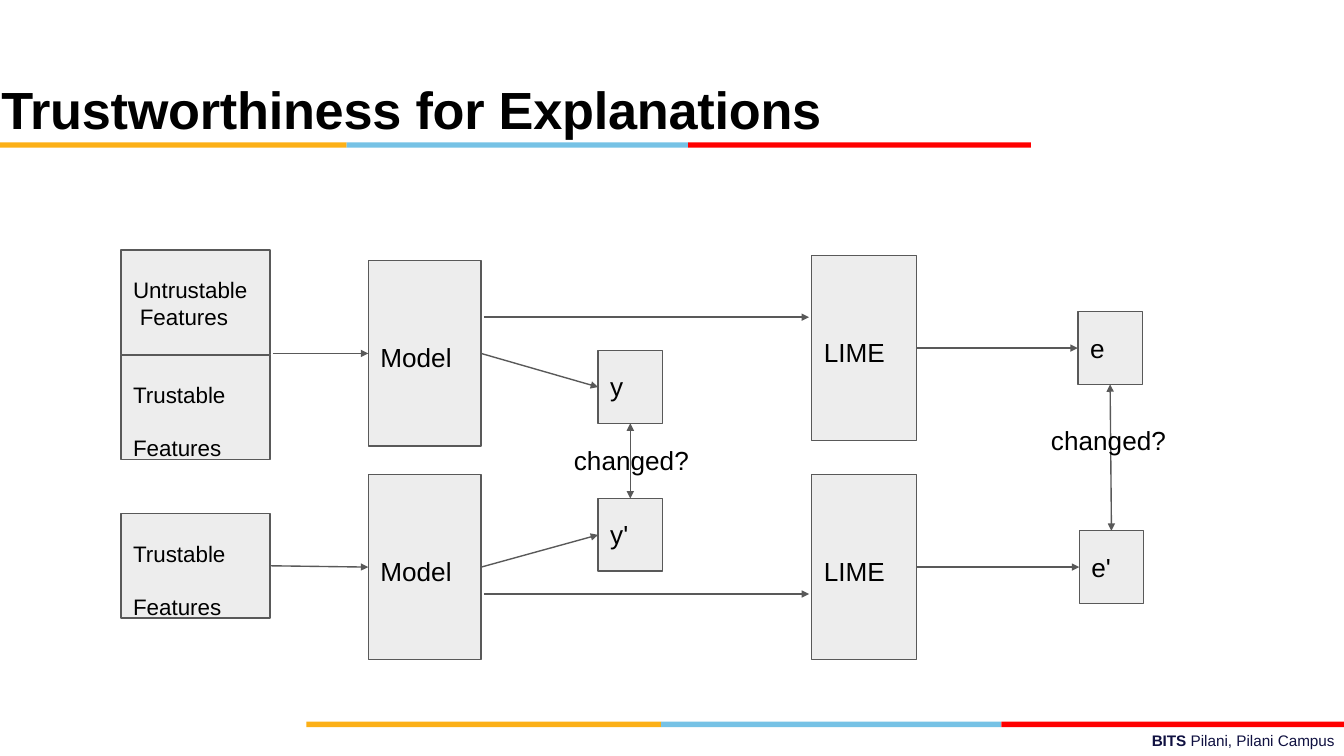
from pptx import Presentation
from pptx.dml.color import RGBColor as RGB
from pptx.enum.shapes import MSO_CONNECTOR as CONN, MSO_SHAPE as SHAPE
from pptx.enum.text import MSO_ANCHOR as ANCHOR, PP_ALIGN as ALIGN
from pptx.oxml.ns import qn
from pptx.util import Inches, Pt
from lxml import etree

BLACK = RGB(0, 0, 0)
NAVY = RGB(0x10, 0x11, 0x41)
GRAY = RGB(0x59, 0x59, 0x59)
PALE = RGB(0xED, 0xED, 0xED)
GOLD = RGB(0xFC, 0xB0, 0x17)
BLUE = RGB(0x76, 0xC2, 0xE5)
RED = RGB(0xFF, 0, 0)
TOP, LEFT, BOTTOM, RIGHT = range(4)


def write(shape, *lines, size=14, color=BLACK, bold=False, lead="", pad=(0.09, 0, 0, 0),
          align=ALIGN.LEFT, anchor=ANCHOR.TOP, pitch=None, gap=0, shift=0, track=0):
    """Fill a shape with paragraphs; lead is a bold start, shift indents later lines."""
    frame = shape.text_frame
    frame.word_wrap = True
    frame.vertical_anchor = anchor
    (frame.margin_left, frame.margin_top,
     frame.margin_right, frame.margin_bottom) = map(Inches, pad)
    for i, line in enumerate(lines):
        para = frame.add_paragraph() if i else frame.paragraphs[0]
        para.alignment = align
        if pitch:
            para.line_spacing = Pt(pitch)
        if i:
            para.space_before = Pt(gap)
            para._p.get_or_add_pPr().set("marL", str(Inches(shift)))
        for part, heavy in ((lead, True), (line, bold)):
            if part:
                run = para.add_run()
                run.text = part
                font = run.font
                font.name, font.size, font.bold = "Arial", Pt(size), heavy
                font.color.rgb = color
                if track:
                    run._r.get_or_add_rPr().set("spc", str(track))


def label(slide, x, y, w, h, *lines, **style):
    box = slide.shapes.add_textbox(*map(Inches, (x, y, w, h)))
    write(box, *lines, **style)


def rect(slide, x, y, w, h, fill, edge=None):
    box = slide.shapes.add_shape(SHAPE.RECTANGLE, *map(Inches, (x, y, w, h)))
    box.shadow.inherit = False
    box.fill.solid()
    box.fill.fore_color.rgb = fill
    if edge is None:
        box.line.fill.background()
    else:
        box.line.color.rgb = edge
        box.line.width = Pt(0.75)
    return box


def node(slide, x, y, w, h, *lines, drop, **style):
    """Gray box whose text starts at drop below its top."""
    box = rect(slide, x, y, w, h, PALE, GRAY)
    write(box, *lines, pad=(0.09, drop, 0, 0), **style)
    return box


def arrow(slide, start, end, both=False):
    """Each end is an (x, y) point or a (shape, side) pair."""
    spots = [(0, 0) if hasattr(p[0], "shape_id") else tuple(map(Inches, p))
             for p in (start, end)]
    line = slide.shapes.add_connector(CONN.STRAIGHT, *spots[0], *spots[1])
    for point, join in ((start, line.begin_connect), (end, line.end_connect)):
        if hasattr(point[0], "shape_id"):
            join(*point)
    line.line.color.rgb = GRAY
    line.line.width = Pt(0.75)
    stroke = line.line._get_or_add_ln()
    for tag in ("a:headEnd", "a:tailEnd") if both else ("a:tailEnd",):
        etree.SubElement(stroke, qn(tag), type="triangle", w="sm", len="sm")
    etree.SubElement(line._element.spPr, qn("a:effectLst"))


def stripe(slide, y, *stops):
    """Three-colour band between four stops."""
    for x, end, color in zip(stops, stops[1:], (GOLD, BLUE, RED)):
        rect(slide, x, y, end - x, 0.04, color)


def header(slide, x, y):
    label(slide, x, y, 6.33, 0.49, "Trustworthiness for Explanations", size=28,
          bold=True, track=-10, pad=(0.01, 0.02, 0, 0), anchor=ANCHOR.MIDDLE)
    stripe(slide, y + 0.51, x, x + 2.58, x + 5.12, x + 7.67)


def footer(slide, y):
    stripe(slide, y, 2.28, 4.92, 7.45, 10)
    label(slide, 3.58, y + 0.03, 6.42, 0.21, "Pilani, Pilani Campus", lead="BITS ",
          size=8.2, color=NAVY, align=ALIGN.RIGHT, pad=(0.07, 0.04, 0.07, 0.04))


def inputs(slide, x, y, *lines, **style):
    return node(slide, x, y, 1.11, 0.78, *lines, size=12, drop=0.2, pitch=14.2, **style)


def stage(slide, x, y, w, text):
    return node(slide, x, y, w, 1.38, text, drop=0.6)


def result(slide, x, y, text):
    return node(slide, x, y, 0.48, 0.54, text, drop=0.15)


def compare(slide, upper, lower, x, y):
    """Two-way arrow between two results, with its question."""
    arrow(slide, (upper, BOTTOM), (lower, TOP), both=True)
    label(slide, x, y, 0.88, 0.26, "changed?", pad=(0.01, 0.01, 0, 0))


def flow(slide, x, y):
    """Full and reduced feature pipelines, one above the other."""
    # Features
    trusted = ("Trustable", "Features")
    inputs(slide, x, y, "Untrustable", "Features", shift=0.05)
    inputs(slide, x, y + 0.78, *trusted, gap=14.2)
    reduced = inputs(slide, x, y + 1.96, *trusted, gap=14.2)

    # Models, explainers and their results
    models = [stage(slide, x + 1.84, y + d, 0.84, "Model") for d in (0.08, 1.67)]
    limes = [stage(slide, x + 5.14, y + d, 0.78, "LIME") for d in (0.04, 1.67)]
    outs = [result(slide, x + 3.55, y + d, t) for d, t in ((0.75, "y"), (1.85, "y'"))]
    notes = [result(slide, x + dx, y + d, t)
             for dx, d, t in ((7.12, 0.46, "e"), (7.13, 2.09, "e'"))]

    # Arrows
    starts = ((x + 1.13, y + 0.77), (reduced, RIGHT))
    for start, model, out, lime, note, d in zip(
            starts, models, outs, limes, notes, (0.5, 2.56)):
        arrow(slide, start, (model, LEFT))
        arrow(slide, (model, RIGHT), (out, LEFT))
        arrow(slide, (x + 2.7, y + d), (x + 5.12, y + d))
        arrow(slide, (lime, RIGHT), (note, LEFT))

    # Comparisons
    compare(slide, *outs, x + 3.36, y + 1.44)
    compare(slide, *notes, x + 6.91, y + 1.29)


def main():
    deck = Presentation()
    deck.slide_width = Inches(10)
    deck.slide_height = deck.slide_width * 9 // 16
    slide = deck.slides.add_slide(deck.slide_layouts[6])
    footer(slide, 5.37)
    header(slide, 0, 0.55)
    flow(slide, 0.9, 1.86)
    deck.save("out.pptx")


if __name__ == "__main__":
    main()
